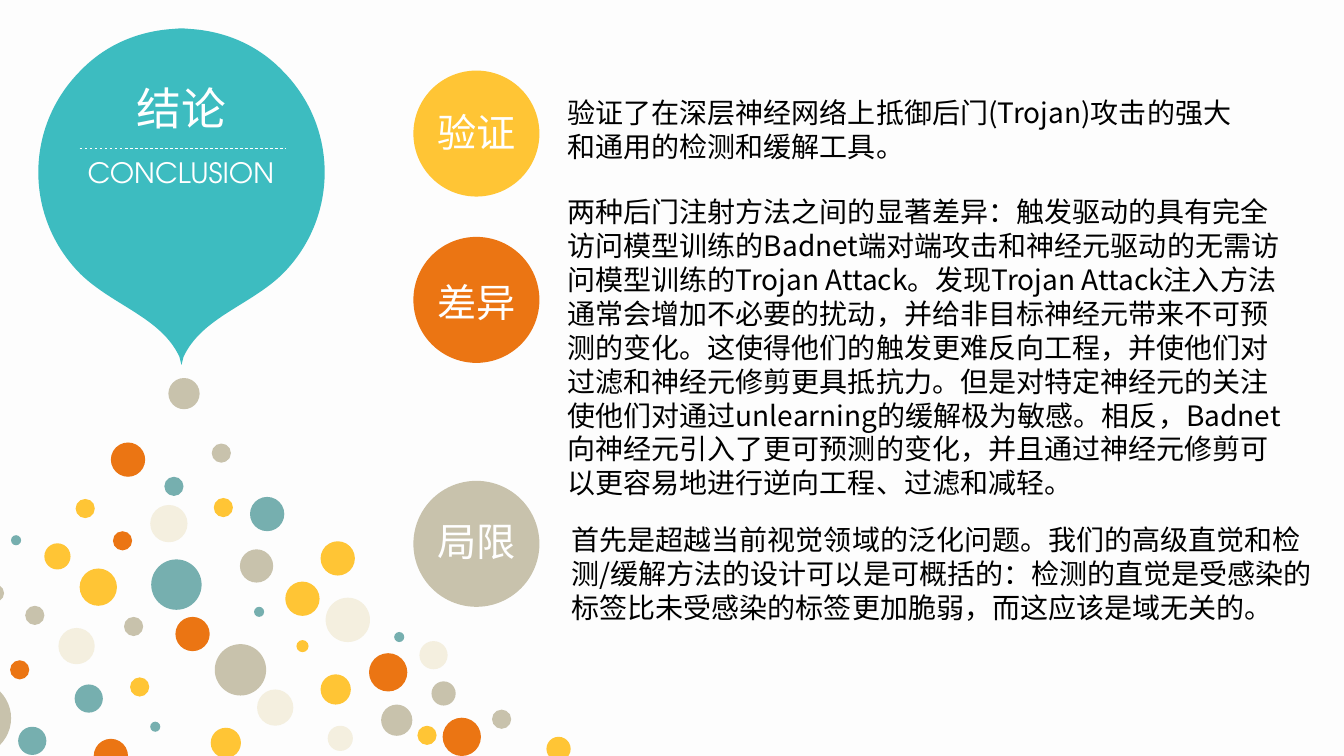
from dataclasses import dataclass
from math import cos, radians, sin
from lxml.etree import SubElement
from pptx import Presentation
from pptx.dml.color import RGBColor
from pptx.enum.dml import MSO_LINE
from pptx.enum.shapes import MSO_CONNECTOR, MSO_SHAPE
from pptx.enum.text import MSO_AUTO_SIZE, PP_ALIGN
from pptx.oxml.ns import qn
from pptx.util import Inches, Pt


@dataclass(frozen=True)
class Theme:
    """Colours, fonts and type sizes of the slide."""
    back: str = "FDFDFD"
    white: str = "FFFFFF"
    black: str = "000000"
    aqua: str = "3DBCC0"
    teal: str = "76AFAF"
    red: str = "EB7513"
    gold: str = "FFC535"
    sand: str = "C8C2AC"
    cream: str = "F4EFDF"
    han: str = "Noto Sans CJK SC"
    latin: str = "TeX Gyre Adventor"
    title: int = 32
    label: int = 28
    body: int = 20
    pitch: float = 1.21


THEME = Theme()

DOTS = {
    THEME.teal: [
        (0.11, 5.31, 0.1), (1.63, 4.73, 0.19), (1.5, 5.55, 0.5), (0.74, 6.79, 0.28),
        (3.91, 6.27, 0.1), (2.52, 6.02, 0.1), (1.49, 7.16, 0.1), (0.18, 7.21, 0.28),
        (2.48, 4.93, 0.34)],
    THEME.red: [
        (1.1, 4.39, 0.34), (1.12, 5.27, 0.19), (0.1, 6.55, 0.19), (3.66, 6.48, 0.38),
        (4.39, 7.12, 0.38), (0.93, 7.33, 0.34), (1.74, 6.12, 0.34)],
    THEME.gold: [
        (0.44, 5.39, 0.26), (0.79, 5.64, 0.37), (0.75, 4.95, 0.19), (2.94, 6.35, 0.12),
        (4.14, 7.2, 0.19), (3.18, 6.69, 0.3), (1.29, 6.72, 0.19), (2.09, 7.22, 0.3),
        (3.18, 5.37, 0.34), (2.83, 5.77, 0.34), (2.12, 4.94, 0.19), (5.42, 7.31, 0.24)],
    THEME.sand: [
        (-0.13, 5.8, 0.17), (-0.64, 6.75, 0.75), (1.67, 3.75, 0.31), (3.78, 6.99, 0.31),
        (4.28, 6.76, 0.24), (1.23, 6.12, 0.19), (2.13, 6.39, 0.51), (2.38, 5.45, 0.33),
        (2.1, 4.4, 0.19), (0.25, 6.01, 0.19), (4.88, 7.04, 0.19)],
    THEME.cream: [
        (0.58, 6.23, 0.36), (1.49, 5.01, 0.37), (3.25, 7.2, 0.25), (3.23, 5.93, 0.44),
        (4.16, 6.36, 0.28), (2.55, 6.84, 0.36)],
}

HALF = [
    [(0, 0), (0.13, 0.01)],
    [(0.13, 0.01), (0.45, 0.04), (0.76, 0.17), (1, 0.42)],
    [(1, 0.42), (1.56, 0.98), (1.56, 1.88), (1, 2.44)],
    [(1, 2.44), (0.68, 2.75), (0.2, 2.87), (0.02, 3.26)],
    [(0.02, 3.26), (0, 3.34)],
]

POINTS = [
    ("验证", THEME.gold, 0.7, 0.32, (5.53, 0.9, 6.8, 0.77),
     "验证了在深层神经网络上抵御后门(Trojan)攻击的强大和通用的检测和缓解工具。"),
    ("差异", THEME.red, 2.35, 0.36, (5.53, 1.88, 7.36, 3.13),
     "两种后门注射方法之间的显著差异：触发驱动的具有完全访问模型训练的Badnet端对端攻击和"
     "神经元驱动的无需访问模型训练的Trojan Attack。发现Trojan Attack注入方法通常会增加"
     "不必要的扰动，并给非目标神经元带来不可预测的变化。这使得他们的触发更难反向工程，"
     "并使他们对过滤和神经元修剪更具抵抗力。但是对特定神经元的关注使他们对通过unlearning的"
     "缓解极为敏感。相反，Badnet向神经元引入了更可预测的变化，并且通过神经元修剪可以更容易地"
     "进行逆向工程、过滤和减轻。"),
    ("局限", THEME.sand, 4.77, 0.31, (5.57, 5.13, 7.81, 1.11),
     "首先是超越当前视觉领域的泛化问题。我们的高级直觉和检测/缓解方法的设计可以是可概括的："
     "检测的直觉是受感染的标签比未受感染的标签更加脆弱，而这应该是域无关的。"),
]


def paint(shape, color):
    """Fill a shape with one flat colour."""
    shape.shadow.inherit = False
    shape.fill.solid()
    shape.fill.fore_color.rgb = RGBColor.from_string(color)
    shape.line.fill.background()


def write(slide, text, box, size=THEME.body, color=THEME.black,
          face=THEME.han, align=PP_ALIGN.LEFT, wrap=True):
    """Write one paragraph in a text box."""
    frame = slide.shapes.add_textbox(*map(Inches, box)).text_frame
    frame.word_wrap = wrap
    frame.auto_size = MSO_AUTO_SIZE.SHAPE_TO_FIT_TEXT
    para = frame.paragraphs[0]
    para.alignment = align
    para.line_spacing = Pt(size * THEME.pitch)
    run = para.add_run()
    run.text = text
    run.font.size = Pt(size)
    run.font.color.rgb = RGBColor.from_string(color)
    run.font.name = face
    SubElement(run.font._element, qn("a:ea"), typeface=face)


def disc(slide, left, top, size, color):
    """Draw a round spot."""
    box = map(Inches, (left, top, size, size))
    paint(slide.shapes.add_shape(MSO_SHAPE.OVAL, *box), color)


def bend(shape, parts):
    """Turn the straight sides that have handles into cubic curves."""
    sides = list(shape._element.iter(qn("a:lnTo")))
    for side, part in zip(sides, parts):
        if len(part) == 4:
            side.tag = qn("a:cubicBezTo")
            for old in list(side):
                side.remove(old)
            for x, y in part[1:]:
                SubElement(side, qn("a:pt"), x=str(x - shape.left), y=str(y - shape.top))


def outline(slide, mid, top, turn=225, core=1.43):
    """Draw the drop in a square frame that is turned."""
    angle = radians(-turn)

    def place(x, y):
        """Turn a point back around the centre of the drop."""
        y -= core
        return (Inches(mid + x * cos(angle) - y * sin(angle)),
                Inches(top + core + x * sin(angle) + y * cos(angle)))

    mirror = [[(-x, y) for x, y in reversed(part)] for part in reversed(HALF)]
    parts = [[place(*spot) for spot in part] for part in HALF + mirror]
    pen = slide.shapes.build_freeform(*parts[0][0], scale=1)
    pen.add_line_segments([part[-1] for part in parts], close=True)
    shape = pen.convert_to_shape()
    bend(shape, parts)
    shape.rotation = turn
    paint(shape, THEME.aqua)


def drop(slide, mid, top):
    """Draw the drop and its heading around a middle line."""
    outline(slide, mid, top)
    ends = (mid - 1.01, top + 1.19, mid + 1.04, top + 1.19)
    rule = slide.shapes.add_connector(MSO_CONNECTOR.STRAIGHT, *map(Inches, ends))
    rule.line.color.rgb = RGBColor.from_string(THEME.white)
    rule.line.width = Pt(0.5)
    rule.line.dash_style = MSO_LINE.DASH
    SubElement(rule._element.spPr, qn("a:effectLst"))
    write(slide, "CONCLUSION", (mid - 1.03, top + 1.21, 2.07, 0.44),
          color=THEME.white, face=THEME.latin, align=PP_ALIGN.JUSTIFY)
    write(slide, "结论", (mid - 0.54, top + 0.47, 1.1, 0.64),
          size=THEME.title, color=THEME.white, wrap=False)


def point(slide, left, top, name, color, drift, box, text):
    """Place a round label and the text beside it."""
    disc(slide, left, top, 1.25, color)
    write(slide, name, (left + 0.13, top + drift, 0.99, 0.57), size=THEME.label,
          color=THEME.white, align=PP_ALIGN.CENTER, wrap=False)
    write(slide, text, box)


def main():
    """Build and save the slide."""
    deck = Presentation()
    deck.slide_width, deck.slide_height = Inches(13.33), Inches(7.5)
    slide = deck.slides.add_slide(deck.slide_layouts[6])
    slide.background.fill.solid()
    slide.background.fill.fore_color.rgb = RGBColor.from_string(THEME.back)
    for color, spots in DOTS.items():
        for spot in spots:
            disc(slide, *spot, color)
    drop(slide, 1.8, 0.28)
    for name, color, top, drift, box, text in POINTS:
        point(slide, 4.1, top, name, color, drift, box, text)
    deck.save("out.pptx")


if __name__ == "__main__":
    main()
